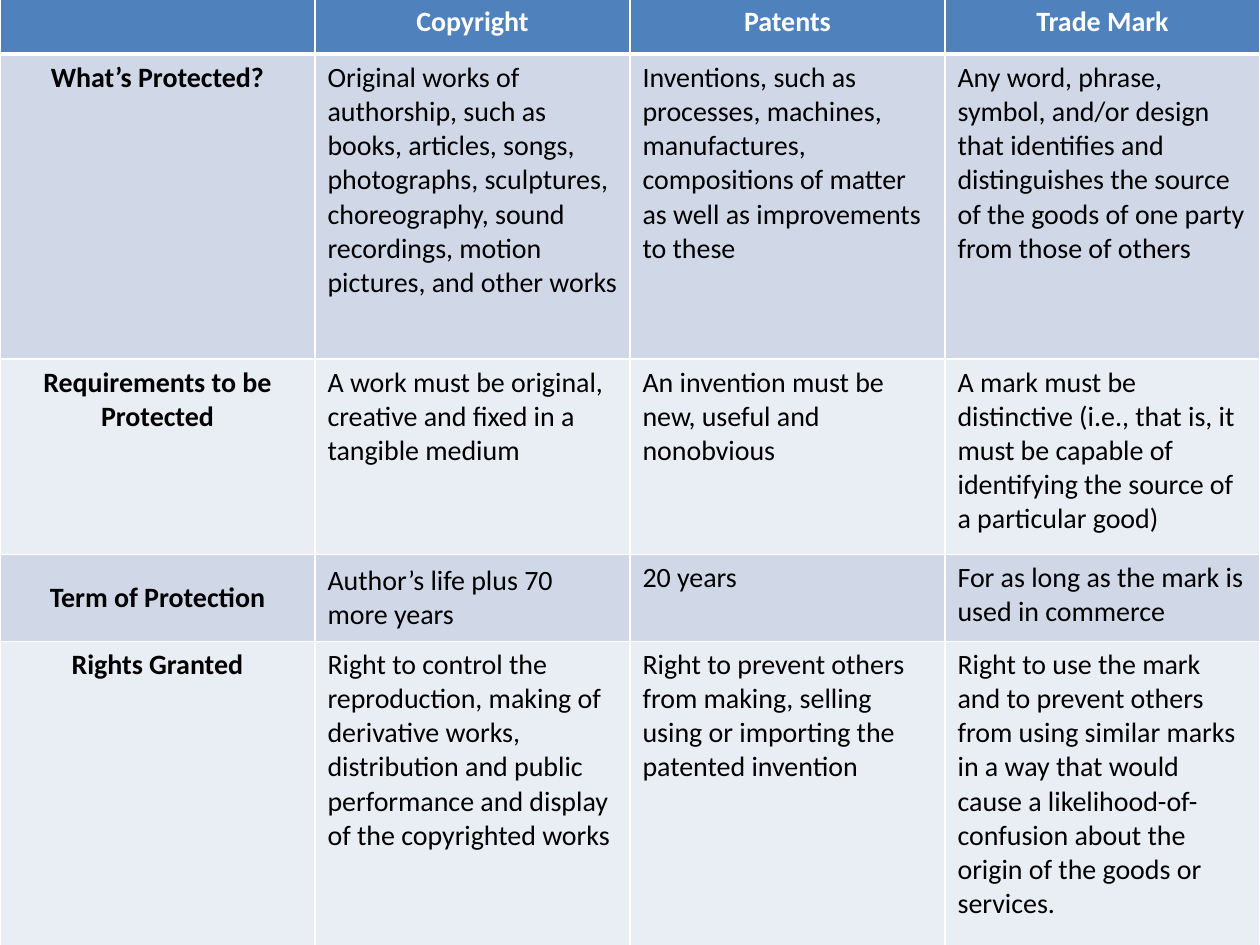
from lxml.etree import SubElement
from pptx import Presentation
from pptx.dml.color import RGBColor
from pptx.enum.text import MSO_ANCHOR, PP_ALIGN
from pptx.oxml.ns import qn
from pptx.util import Inches, Pt

ROWS = [
    ("", "Copyright", "Patents", "Trade Mark"),
    (
        "What’s Protected?",
        "Original works of authorship, such as books, articles, songs, photographs, "
        "sculptures, choreography, sound recordings, motion pictures, and other works",
        "Inventions, such as processes, machines, manufactures, compositions of matter "
        "as well as improvements to these",
        "Any word, phrase, symbol, and/or design that identifies and distinguishes "
        "the source of the goods of one party from those of others",
    ),
    (
        "Requirements to be Protected",
        "A work must be original, creative and fixed in a tangible medium",
        "An invention must be new, useful and nonobvious",
        "A mark must be distinctive (i.e., that is, it must be capable of identifying "
        "the source of a particular good)",
    ),
    (
        "Term of Protection",
        "Author’s life plus 70 more years",
        "20 years",
        "For as long as the mark is used in commerce",
    ),
    (
        "Rights Granted",
        "Right to control the reproduction, making of derivative works, distribution "
        "and public performance and display of the copyrighted works",
        "Right to prevent others from making, selling using or importing the patented invention",
        "Right to use the mark and to prevent others from using similar marks in a way "
        "that would cause a likelihood-of-confusion about the origin of the goods or services.",
    ),
]
ROW_HEIGHTS = [0.44, 2.42, 1.55, 0.69, 2.42]
COLUMN_WIDTH = 2.5
TABLE_TOP = -0.01
HEADER_FILL = "4F81BD"
BAND_FILLS = ["E9EDF4", "D0D8E8"]
WHITE, BLACK = "FFFFFF", "000000"
MIDDLE_CELLS = {(3, 0), (3, 1)}


def color(value):
    return RGBColor.from_string(value)


def set_borders(cell, widths):
    properties = cell._tc.get_or_add_tcPr()
    for side, width in widths.items():
        line = SubElement(properties, qn(f"a:ln{side}"), w=str(Pt(width)))
        fill = SubElement(line, qn("a:solidFill"))
        SubElement(fill, qn("a:srgbClr"), val=WHITE)


def format_cell(cell, text, row, column):
    is_header = row == 0
    is_label = is_header or column == 0
    set_borders(cell, {
        "L": 1, "R": 1, "T": 3 if row == 1 else 1, "B": 3 if is_header else 1,
    })
    cell.fill.solid()
    cell.fill.fore_color.rgb = color(HEADER_FILL if is_header else BAND_FILLS[row % 2])
    cell.vertical_anchor = MSO_ANCHOR.MIDDLE if (row, column) in MIDDLE_CELLS else MSO_ANCHOR.TOP
    cell.text = text
    paragraph = cell.text_frame.paragraphs[0]
    paragraph.alignment = PP_ALIGN.CENTER if is_label else PP_ALIGN.LEFT
    font_format = {"name": "Calibri", "size": Pt(16), "bold": is_label}
    for run in paragraph.runs:
        for name, value in font_format.items():
            setattr(run.font, name, value)
        run.font.color.rgb = color(WHITE if is_header else BLACK)


def main():
    presentation = Presentation()
    presentation.slide_width, presentation.slide_height = Inches(10), Inches(7.5)
    slide = presentation.slides.add_slide(presentation.slide_layouts[6])
    column_count = len(ROWS[0])
    table = slide.shapes.add_table(
        len(ROWS), column_count, Inches(0), Inches(TABLE_TOP),
        Inches(COLUMN_WIDTH * column_count), Inches(sum(ROW_HEIGHTS)),
    ).table
    for column in table.columns:
        column.width = Inches(COLUMN_WIDTH)
    for row, (texts, height) in enumerate(zip(ROWS, ROW_HEIGHTS)):
        table.rows[row].height = Inches(height)
        for column, text in enumerate(texts):
            format_cell(table.cell(row, column), text, row, column)
    presentation.save("out.pptx")


if __name__ == "__main__":
    main()
